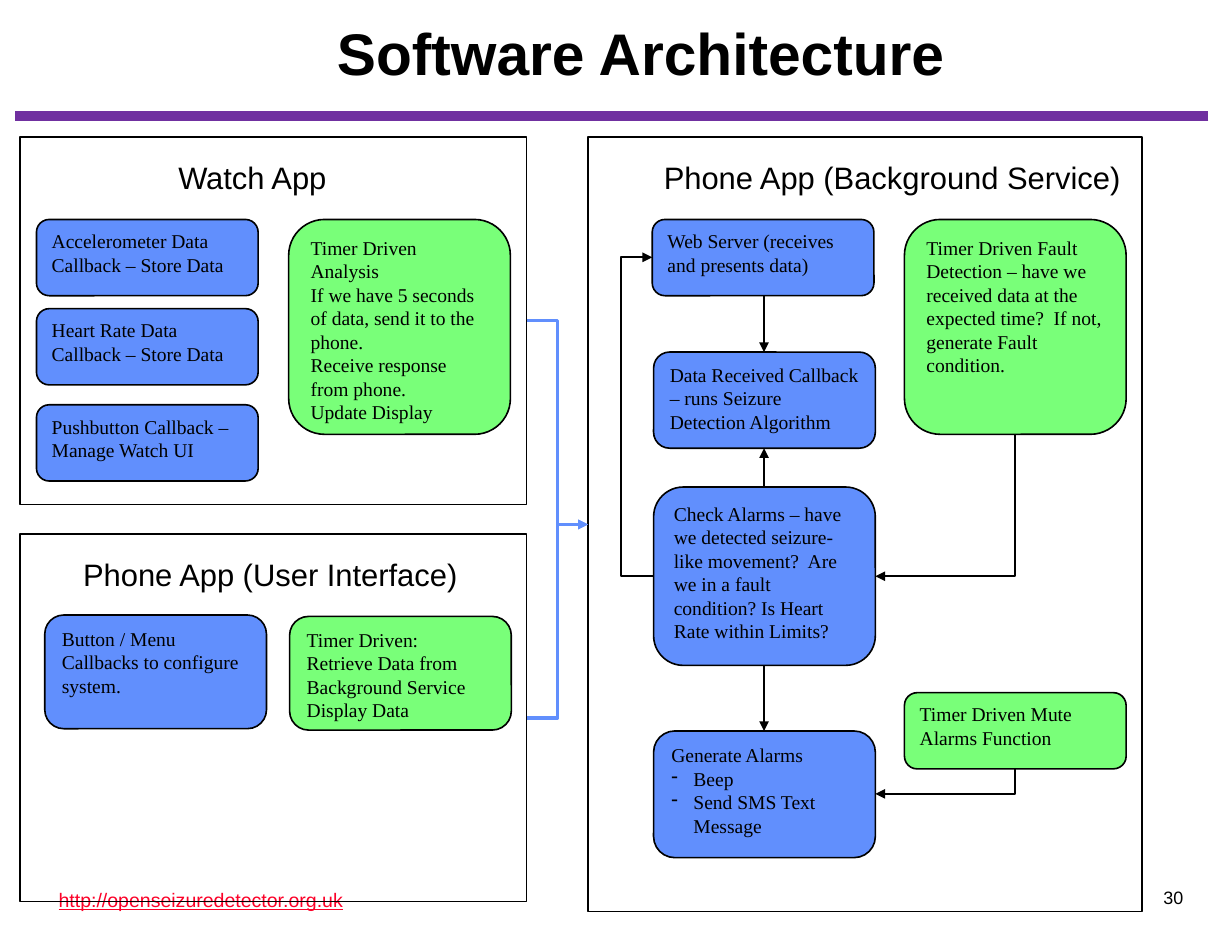
from lxml.etree import SubElement
from pptx import Presentation
from pptx.dml.color import RGBColor
from pptx.enum.shapes import MSO_CONNECTOR as Link, MSO_SHAPE as Shape
from pptx.enum.text import MSO_ANCHOR as Anchor, MSO_AUTO_SIZE as AutoSize, PP_ALIGN as Align
from pptx.oxml.ns import qn
from pptx.util import Cm, Pt

BLACK = RGBColor(0x00, 0x00, 0x00)
PURPLE = RGBColor(0x70, 0x30, 0xA0)
RED = RGBColor(0xFC, 0x01, 0x28)
BLUE = RGBColor(0x61, 0x8F, 0xFD)
GREEN = RGBColor(0x79, 0xFF, 0x79)

BODY = {"name": "Times New Roman", "size": Pt(12)}
HEADING = {"name": "Arial", "size": Pt(19)}
TITLE = {"name": "Arial", "size": Pt(36), "bold": True}
ADDRESS = {"name": "Arial", "size": Pt(12), "underline": True}
NUMBER = {"name": "Arial", "size": Pt(11)}

# Shared geometry in centimetres
BOX_WIDTH = 4.8
SMALL = 1.65
TALL = 4.65
MIDDLE = 16.54  # centre of the service column
RIGHT = 18.95  # right edge of the service column
TIMER_MIDDLE = 21.97

PANELS = [
    (0.43, 2.97, 10.97, 7.95),
    (12.73, 2.97, 11.99, 16.76),
    (0.43, 11.56, 10.97, 7.95),
]
HEADINGS = [
    ("Watch App", 3.61, 3.3, 7.44),
    ("Phone App (Background Service)", 14.12, 3.3, 10.59),
    ("Phone App (User Interface)", 1.55, 11.89, 9.52),
]
# Left, top, height, colour, paragraphs ("- " starts a dashed item)
BOXES = [
    (0.79, 4.75, SMALL, BLUE, ["Accelerometer Data Callback – Store Data"]),
    (0.79, 6.68, SMALL, BLUE, ["Heart Rate Data Callback – Store Data"]),
    (0.79, 8.76, SMALL, BLUE, ["Pushbutton Callback – Manage Watch UI"]),
    (6.25, 4.75, TALL, GREEN, [
        "Timer Driven Analysis",
        "If we have 5 seconds of data, send it to the phone.",
        "Receive response from phone.",
        "Update Display"]),
    (14.12, 4.75, SMALL, BLUE, ["Web Server (receives and presents data)"]),
    (14.15, 7.62, 2.08, BLUE, [
        "Data Received Callback – runs Seizure Detection Algorithm"]),
    (14.15, 10.54, 3.86, BLUE, [
        "Check Alarms – have we detected seizure-like movement?  Are we in a "
        "fault condition? Is Heart Rate within Limits?"]),
    (14.15, 15.82, 2.74, BLUE, ["Generate Alarms", "- Beep", "- Send SMS Text Message"]),
    (19.58, 4.75, TALL, GREEN, [
        "Timer Driven Fault Detection – have we received data at the expected "
        "time?  If not, generate Fault condition."]),
    (19.58, 14.99, SMALL, GREEN, ["Timer Driven Mute Alarms Function"]),
    (0.97, 13.31, 2.46, BLUE, ["Button / Menu Callbacks to configure system."]),
    (6.27, 13.34, 2.46, GREEN, [
        "Timer Driven:", "Retrieve Data from Background Service", "Display Data"]),
]


def format_font(font, style, color=BLACK):
    for name, value in style.items():
        setattr(font, name, value)
    font.color.rgb = color


def add_dash(para):
    props = para._p.get_or_add_pPr()
    props.set("marL", str(Cm(0.48)))
    props.set("indent", str(-Cm(0.48)))
    SubElement(props, qn("a:buChar"), char="-")


def write(frame, texts, style, color=BLACK, align=Align.LEFT, inset=0.25):
    margins = {"margin_left": inset, "margin_right": inset,
               "margin_top": 0.13, "margin_bottom": 0.13}
    for name, value in margins.items():
        setattr(frame, name, Cm(value))
    frame.word_wrap = True
    for index, text in enumerate(texts):
        para = frame.paragraphs[0] if index == 0 else frame.add_paragraph()
        if text.startswith("- "):
            add_dash(para)
        para.alignment = align
        span = para.add_run()
        span.text = text.removeprefix("- ")
        format_font(span.font, style, color)


def add_label(page, text, left, top, width, height, style, **options):
    label = page.shapes.add_textbox(Cm(left), Cm(top), Cm(width), Cm(height))
    write(label.text_frame, [text], style, **options)


def add_shape(page, kind, left, top, width, height, fill=None):
    shape = page.shapes.add_shape(kind, Cm(left), Cm(top), Cm(width), Cm(height))
    shape.shadow.inherit = False
    if fill is None:
        shape.fill.background()
    else:
        shape.fill.solid()
        shape.fill.fore_color.rgb = fill
    shape.line.color.rgb = BLACK
    shape.line.width = Pt(1)
    return shape


def add_box(page, left, top, height, fill, texts):
    box = add_shape(page, Shape.ROUNDED_RECTANGLE, left, top, BOX_WIDTH, height, fill)
    box.text_frame.vertical_anchor = Anchor.TOP
    write(box.text_frame, texts, BODY)


def add_line(page, start, end, kind=Link.STRAIGHT, color=BLACK, width=1, arrow=True):
    line = page.shapes.add_connector(kind, *(Cm(value) for value in (*start, *end)))
    line.line.color.rgb = color
    line.line.width = Pt(width)
    if arrow:
        SubElement(line.line._get_or_add_ln(), qn("a:tailEnd"), type="triangle")
    SubElement(line._element.spPr, qn("a:effectLst"))
    return line


def add_side_arrow(page, start, end, turn, **options):
    """Run sideways to x = turn, then vertically, then sideways to the end."""
    arrow = add_line(page, start, end, Link.ELBOW, **options)
    share = round((turn - start[0]) / (end[0] - start[0]) * 100000)
    guides = arrow._element.spPr.find(qn("a:prstGeom")).get_or_add_avLst()
    SubElement(guides, qn("a:gd"), name="adj1", fmla=f"val {share}")


def add_corner_arrow(page, start, end):
    """Run down, then left: a single-corner connector turned by 90 degrees."""
    middle_x, middle_y = (start[0] + end[0]) / 2, (start[1] + end[1]) / 2
    half_drop, half_run = (end[1] - start[1]) / 2, (start[0] - end[0]) / 2
    arrow = add_line(page, (middle_x - half_drop, middle_y - half_run),
                     (middle_x + half_drop, middle_y + half_run), Link.ELBOW)
    props = arrow._element.spPr
    props.find(qn("a:prstGeom")).set("prst", "bentConnector2")
    props.find(qn("a:xfrm")).set("rot", str(90 * 60000))


def add_title(page):
    title = page.shapes.title
    place = {"left": 1.55, "top": -0.03, "width": 24.64, "height": 2.54}
    for name, value in place.items():
        setattr(title, name, Cm(value))
    frame = title.text_frame
    frame.auto_size = AutoSize.NONE
    frame.vertical_anchor = Anchor.MIDDLE
    write(frame, ["Software Architecture"], TITLE, align=Align.CENTER, inset=0.28)
    frame.paragraphs[0].line_spacing = 0.85


def main():
    deck = Presentation()
    deck.slide_width, deck.slide_height = Cm(26.67), Cm(20.32)
    page = deck.slides.add_slide(deck.slide_layouts[5])

    # Title, rule and footer
    add_line(page, (26.16, 2.51), (0.33, 2.51), color=PURPLE, width=6, arrow=False)
    add_label(page, "http://openseizuredetector.org.uk", 1.02, 19.08, 18.36, 0.76,
              ADDRESS, color=RED)
    add_title(page)
    add_label(page, "30", 23.11, 19.05, 2.79, 1.27, NUMBER, align=Align.RIGHT, inset=0.28)

    # Panels with their headings and boxes
    for panel in PANELS:
        add_shape(page, Shape.RECTANGLE, *panel)
    for text, left, top, width in HEADINGS:
        add_label(page, text, left, top, width, 1.04, HEADING)
    for box in BOXES:
        add_box(page, *box)

    # Flow inside the background service
    for start, end in [(6.4, 7.62), (10.54, 9.7), (14.4, 15.82)]:
        add_line(page, (MIDDLE, start), (MIDDLE, end))
    add_corner_arrow(page, (TIMER_MIDDLE, 9.4), (RIGHT, 12.47))
    add_corner_arrow(page, (TIMER_MIDDLE, 16.64), (RIGHT, 17.18))
    add_side_arrow(page, (14.15, 12.47), (14.12, 5.57), turn=13.45)

    # Both other apps feed the background service
    for top in (6.94, 15.54):
        add_side_arrow(page, (11.4, top), (12.73, 11.35), turn=12.07, color=BLUE, width=0)

    deck.save("out.pptx")


if __name__ == "__main__":
    main()
